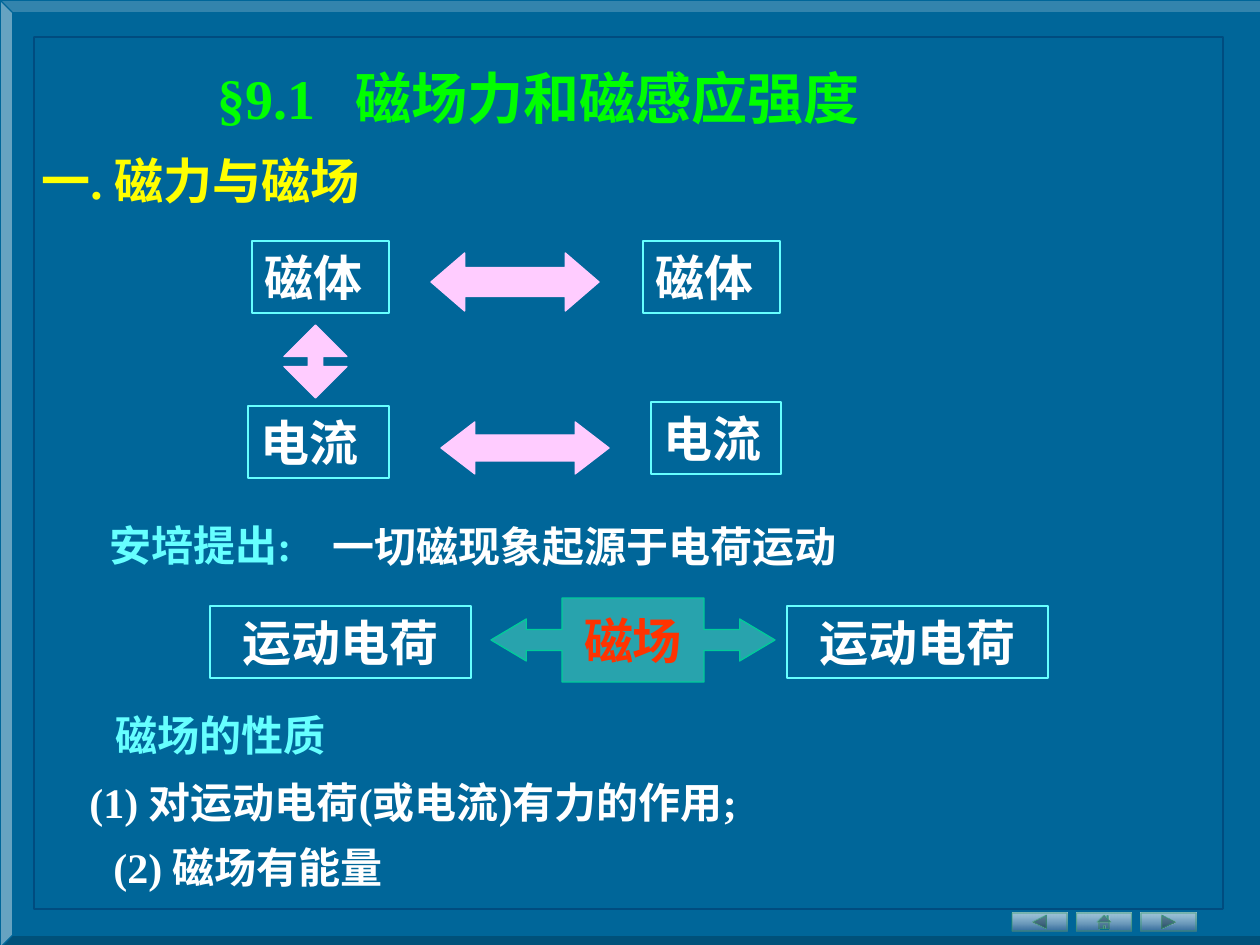
from collections import namedtuple
from dataclasses import dataclass

from lxml import etree
from pptx import Presentation
from pptx.dml.color import RGBColor
from pptx.enum.shapes import MSO_SHAPE
from pptx.enum.text import MSO_ANCHOR, MSO_AUTO_SIZE, PP_ALIGN
from pptx.oxml.ns import qn
from pptx.util import Emu, Pt

RECTANGLE = MSO_SHAPE.RECTANGLE
BEVEL = MSO_SHAPE.BEVEL
TWO_WAY = MSO_SHAPE.LEFT_RIGHT_ARROW
UP_DOWN = MSO_SHAPE.UP_DOWN_ARROW
CALLOUT = MSO_SHAPE.LEFT_RIGHT_ARROW_CALLOUT
NAVIGATION_BUTTONS = (
    MSO_SHAPE.ACTION_BUTTON_BACK_OR_PREVIOUS,
    MSO_SHAPE.ACTION_BUTTON_HOME,
    MSO_SHAPE.ACTION_BUTTON_FORWARD_OR_NEXT,
)
LEFT, CENTER = PP_ALIGN.LEFT, PP_ALIGN.CENTER
TOP, MIDDLE = MSO_ANCHOR.TOP, MSO_ANCHOR.MIDDLE
EMU_PER_PX = 914400 / 126

Box = namedtuple("Box", "left top width height")


@dataclass(frozen=True)
class Theme:
    font: str = "Times New Roman"
    title_size: int = 32
    heading_size: int = 28
    body_size: int = 24
    background: str = "006699"
    frame: str = "003366"
    title: str = "00FF00"
    heading: str = "FFFF00"
    accent: str = "66FFFF"
    text: str = "FFFFFF"
    arrow: str = "FFCCFF"
    field_fill: str = "66FFCC"
    field_line: str = "00CC99"
    field_text: str = "FF3300"
    button_start: str = "FFFFFF"
    button_end: str = "336699"
    button_line: str = "339966"


THEME = Theme()


def px(length):
    return Emu(round(length * EMU_PER_PX))


def rgb(value):
    return RGBColor.from_string(value)


def inside(region, left, top, width, height):
    """Turn a place relative to a region into a place on the slide."""
    return Box(region.left + left, region.top + top, width, height)


def set_opacity(shape, *percents):
    """Set the opacity of the shape's fill and line colours, in that order."""
    for color, percent in zip(shape.element.spPr.iter(qn("a:srgbClr")), percents):
        etree.SubElement(color, qn("a:alpha"), val=str(percent * 1000))


def write(shape, text, size, color, align=LEFT, anchor=TOP, wrap=True):
    frame = shape.text_frame
    frame.text = text
    frame.word_wrap = wrap
    frame.vertical_anchor = anchor
    frame.auto_size = MSO_AUTO_SIZE.NONE if wrap else MSO_AUTO_SIZE.SHAPE_TO_FIT_TEXT
    paragraph = frame.paragraphs[0]
    paragraph.alignment = align
    font = paragraph.font
    font.name, font.size, font.bold = THEME.font, Pt(size), True
    font.color.rgb = rgb(color)


def add_shape(slide, kind, box, line, fill=None, line_width=0.75, adjustments=()):
    shape = slide.shapes.add_shape(kind, *map(px, box))
    shape.shadow.inherit = False
    if fill:
        shape.fill.solid()
        shape.fill.fore_color.rgb = rgb(fill)
    else:
        shape.fill.background()
    shape.line.color.rgb = rgb(line)
    shape.line.width = Pt(line_width)
    for index, value in enumerate(adjustments):
        shape.adjustments[index] = value
    return shape


def add_label(slide, box, text, size, color, wrap=True):
    write(slide.shapes.add_textbox(*map(px, box)), text, size, color, wrap=wrap)


def add_term(slide, box, text, align=LEFT):
    """Add an outlined box that holds one physical term."""
    shape = add_shape(slide, RECTANGLE, box, THEME.accent, line_width=1.5)
    write(shape, text, THEME.heading_size, THEME.text, align)


def add_frame(slide, region):
    add_shape(slide, BEVEL, region, THEME.background, THEME.background, adjustments=[0.013])
    border = add_shape(slide, RECTANGLE, inside(region, 34, 37, 1189, 872), THEME.frame, line_width=1)
    set_opacity(border, 50)


def add_navigation(slide, region, button_width=55):
    step = (region.width - button_width) / (len(NAVIGATION_BUTTONS) - 1)
    for index, kind in enumerate(NAVIGATION_BUTTONS):
        box = inside(region, index * step, 0, button_width, region.height)
        button = add_shape(slide, kind, box, THEME.button_line, line_width=0)
        button.fill.gradient()
        button.fill.gradient_angle = 270
        for stop, color in zip(button.fill.gradient_stops, (THEME.button_start, THEME.button_end)):
            stop.color.rgb = rgb(color)
        set_opacity(button, 62, 89, 52)


def add_headings(slide, region):
    title = slide.shapes.title
    title.element.getparent().append(title.element)  # in front of the frame
    title.left, title.top, title.width, title.height = map(px, inside(region, 176, 0, 761, 81))
    write(title, "§9.1\t磁场力和磁感应强度", THEME.title_size, THEME.title)
    properties = title.text_frame.paragraphs[0].font._element.getparent()
    tabs = etree.Element(qn("a:tabLst"))
    etree.SubElement(tabs, qn("a:tab"), pos=str(px(138)), algn="l")
    properties.find(qn("a:defRPr")).addprevious(tabs)
    add_label(slide, inside(region, 0, 87, 422, 72), "一. 磁力与磁场", THEME.heading_size, THEME.heading)


def add_interactions(slide, region):
    """Show how magnets and currents act on each other."""
    for text, *place in (
        ("磁体", 4, 0, 137, 72),
        ("磁体", 395, 0, 137, 72),
        ("电流", 0, 165, 141, 72),
        ("电流", 403, 161, 130, 72),
    ):
        add_term(slide, inside(region, *place), text)
    for kind, head, *place in (
        (TWO_WAY, 0.58, 183, 12, 168, 58),
        (TWO_WAY, 0.65, 193, 181, 168, 52),
        (UP_DOWN, 0.23, 36, 84, 63, 73),
    ):
        add_shape(slide, kind, inside(region, *place), THEME.arrow, THEME.arrow, adjustments=[0.5, head])


def add_hypothesis(slide, region):
    add_label(slide, inside(region, 0, 0, 217, 63), "安培提出:", THEME.body_size, THEME.accent, wrap=False)
    add_label(slide, inside(region, 223, 1, 678, 63), "一切磁现象起源于电荷运动", THEME.body_size, THEME.text)


def add_charges(slide, region):
    """Show two moving charges with the field between them."""
    for left in (0, 577):
        add_term(slide, inside(region, left, 8, 261, 72), "运动电荷", CENTER)
    field = add_shape(slide, CALLOUT, inside(region, 281, 0, 284, 84), THEME.field_line,
                      THEME.field_fill, adjustments=[0.25, 0.25, 0.42, 0.5])
    set_opacity(field, 40)
    write(field, "磁场", THEME.heading_size, THEME.field_text, CENTER, MIDDLE)


def add_properties(slide, region):
    for text, color, wrap, *place in (
        ("磁场的性质", THEME.accent, True, 26, 0, 359, 63),
        ("(1) 对运动电荷(或电流)有力的作用;", THEME.text, False, 0, 67, 733, 63),
        ("(2) 磁场有能量", THEME.text, False, 24, 132, 305, 63),
    ):
        add_label(slide, inside(region, *place), text, THEME.body_size, color, wrap)


def main():
    presentation = Presentation()
    presentation.slide_width, presentation.slide_height = px(1260), px(945)
    slide = presentation.slides.add_slide(presentation.slide_layouts[5])
    slide.background.fill.solid()
    slide.background.fill.fore_color.rgb = rgb(THEME.background)
    add_frame(slide, Box(0, 0, 1273, 948))
    add_navigation(slide, Box(1012, 913, 184, 18))
    add_headings(slide, Box(29, 57, 937, 159))
    add_interactions(slide, Box(248, 241, 533, 237))
    add_hypothesis(slide, Box(97, 513, 901, 64))
    add_charges(slide, Box(210, 598, 838, 84))
    add_properties(slide, Box(77, 703, 733, 195))
    presentation.save("out.pptx")


if __name__ == "__main__":
    main()
